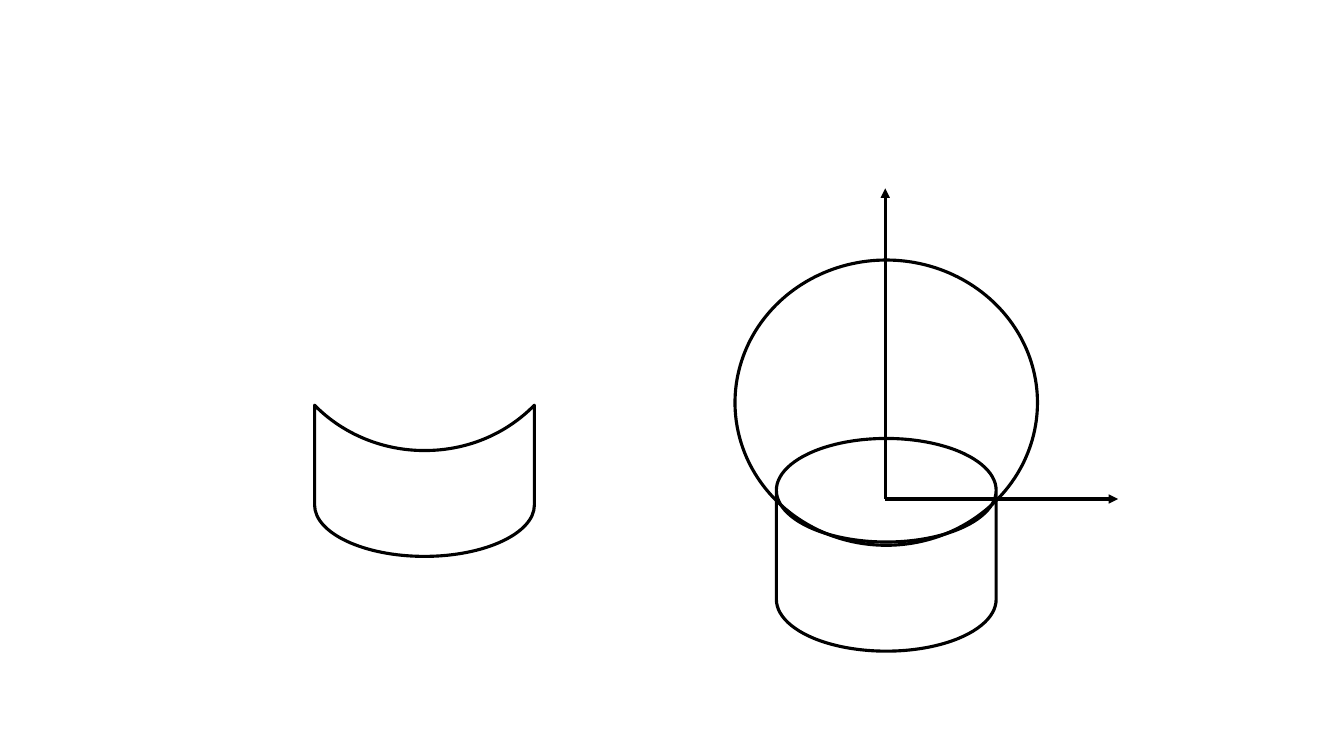
from pptx import Presentation
from pptx import util as u
from pptx.dml.color import RGBColor
from pptx.enum import shapes
from pptx.oxml.ns import qn
from lxml import etree

BLACK = RGBColor(0, 0, 0)

prs = Presentation()
prs.slide_width, prs.slide_height = u.Inches(13.33), u.Inches(7.5)
slide = prs.slides.add_slide(prs.slide_layouts[6])


def outline(sp):
    sp.shadow.inherit = False
    sp.fill.background()
    sp.line.color.rgb = BLACK
    sp.line.width = u.Pt(2.25)


# Sphere resting in the cylinder
group = slide.shapes.add_group_shape()
for kind, box in [
    (shapes.MSO_SHAPE.OVAL, (7.29, 2.58, 3, 2.83)),
    (shapes.MSO_SHAPE.CAN, (7.7, 4.35, 2.18, 2.11)),
]:
    sp = group.shapes.add_shape(kind, *[u.Inches(v) for v in box])
    outline(sp)
sp.adjustments[0] = 0.487

# Vertical and horizontal axes from a common origin
ORIGIN = (8.78, 4.95)
for end in [(ORIGIN[0], 1.87), (11.09, ORIGIN[1])]:
    axis = group.shapes.add_connector(
        shapes.MSO_CONNECTOR.STRAIGHT, *[u.Inches(v) for v in ORIGIN + end])
    axis.line.color.rgb = BLACK
    axis.line.width = u.Pt(2.25)
    ln = axis.line._get_or_add_ln()
    etree.SubElement(ln, qn("a:tailEnd"), type="triangle")
    etree.SubElement(axis._element.spPr, qn("a:effectLst"))

# Cylinder cut by the sphere, in hundredths of an inch
LEFT, TOP = 312, 402
corners = [(315, 405), (421, 447), (527, 405), (530, 402),
           (530, 501), (421, 552), (312, 501)]
# Control points of the curves that end at these corners
curves = {
    (421, 447): [(342, 431), (380, 447)],
    (527, 405): [(463, 447), (500, 431)],
    (421, 552): [(530, 529), (481, 552)],
    (312, 501): [(361, 552), (312, 529)],
}
fb = slide.shapes.build_freeform(LEFT, TOP, scale=u.Inches(1) / 100)
fb.add_line_segments(corners, close=True)
cut = fb.convert_to_shape()
outline(cut)

# Bend the straight segments into curves
segments = list(cut._element.iter(qn("a:lnTo")))
for corner, segment in zip(corners, segments):
    if corner in curves:
        segment.tag = qn("a:cubicBezTo")
        for i, (x, y) in enumerate(curves[corner]):
            pt = etree.Element(qn("a:pt"), x=str(x - LEFT), y=str(y - TOP))
            segment.insert(i, pt)

prs.save("out.pptx")
